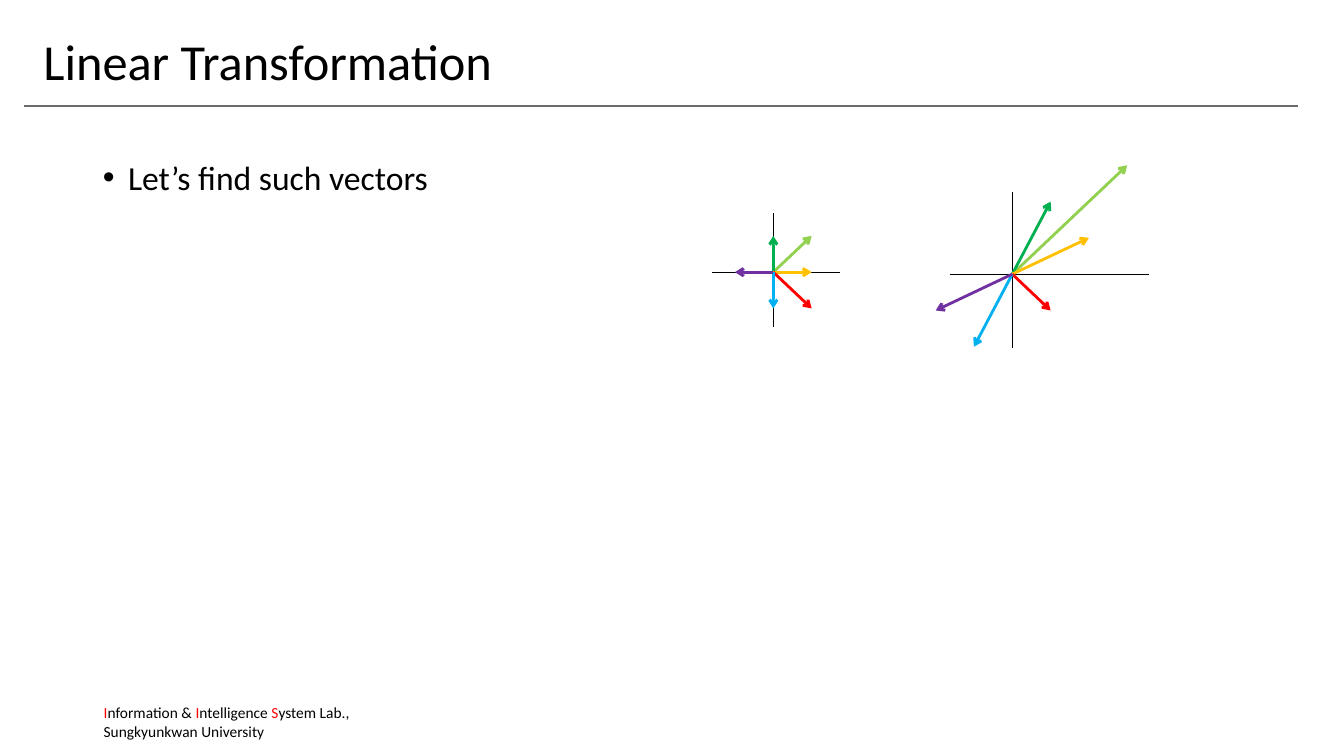
"""Build a slide showing vectors before and after a linear transformation."""
from lxml import etree
from pptx import Presentation
from pptx.dml.color import RGBColor
from pptx.enum.shapes import MSO_CONNECTOR
from pptx.enum.text import MSO_ANCHOR, MSO_AUTO_SIZE, PP_ALIGN
from pptx.oxml.ns import qn
from pptx.util import Pt

PX = 9144
FONT = "Calibri"
STRAIGHT = MSO_CONNECTOR.STRAIGHT
MIDDLE = MSO_ANCHOR.MIDDLE
LEFT = PP_ALIGN.LEFT
NO_AUTOFIT = MSO_AUTO_SIZE.NONE

BLACK = RGBColor(0x00, 0x00, 0x00)
GREY = RGBColor(0x6B, 0x6B, 0x6B)
RED = RGBColor(0xFF, 0x00, 0x00)
ORANGE = RGBColor(0xFF, 0xC0, 0x00)
GREEN = RGBColor(0x00, 0xB0, 0x50)
LIME = RGBColor(0x92, 0xD0, 0x50)
BLUE = RGBColor(0x00, 0xB0, 0xF0)
PURPLE = RGBColor(0x70, 0x30, 0xA0)

UNIT_X, UNIT_Y = 38, 36
VECTORS = [
    (1, 1, LIME),
    (0, 1, GREEN),
    (1, 0, ORANGE),
    (1, -1, RED),
    (0, -1, BLUE),
    (-1, 0, PURPLE),
]
IDENTITY = ((1, 0), (0, 1))
TRANSFORMATION = ((2, 1), (1, 2))
LAB_LINES = [
    [("I", RED), ("nformation & ", BLACK), ("I", RED),
     ("ntelligence ", BLACK), ("S", RED), ("ystem Lab.,", BLACK)],
    [("Sungkyunkwan University", BLACK)],
]


def place(shape, left, top, width, height):
    """Move and size a shape in px."""
    shape.left, shape.top = left * PX, top * PX
    shape.width, shape.height = width * PX, height * PX


def add_run(paragraph, text, size, color):
    """Append one formatted run to a paragraph."""
    run = paragraph.add_run()
    run.text = text
    run.font.name = FONT
    run.font.size = Pt(size)
    run.font.color.rgb = color


def add_line(slide, start, end, color, width, arrow=False):
    """Draw a straight line, with an arrowhead at its end if asked."""
    points = [value * PX for value in (*start, *end)]
    connector = slide.shapes.add_connector(STRAIGHT, *points)
    connector.line.color.rgb = color
    connector.line.width = Pt(width)
    if arrow:
        line = connector.line._get_or_add_ln()
        etree.SubElement(line, qn("a:tailEnd"), type="arrow")
    etree.SubElement(connector._element.spPr, qn("a:effectLst"))


def fill_title(slide, text):
    """Format and fill the title placeholder."""
    title = slide.shapes.title
    place(title, 33, 23, 1300, 81)
    frame = title.text_frame
    frame.auto_size = NO_AUTOFIT
    frame.vertical_anchor = MIDDLE
    paragraph = frame.paragraphs[0]
    paragraph.alignment = LEFT
    paragraph.line_spacing = 0.9
    add_run(paragraph, text, 36, BLACK)


def fill_body(slide, text):
    """Format the body placeholder and fill it with one bullet."""
    body = slide.placeholders[1]
    place(body, 92, 155, 1150, 520)
    body.text_frame.auto_size = NO_AUTOFIT
    paragraph = body.text_frame.paragraphs[0]
    paragraph.line_spacing = 0.9
    paragraph.space_before = Pt(0)
    properties = paragraph._p.get_or_add_pPr()
    properties.set("marL", str(25 * PX))
    properties.set("indent", str(-25 * PX))
    etree.SubElement(properties, qn("a:buFont"), typeface="Arial")
    etree.SubElement(properties, qn("a:buChar"), char="•")
    add_run(paragraph, text, 24, BLACK)


def add_lab_name(slide):
    """Write the lab name at the foot of the slide."""
    box = slide.shapes.add_textbox(93 * PX, 693 * PX, 266 * PX, 47 * PX)
    frame = box.text_frame
    frame.word_wrap = True
    for index, line in enumerate(LAB_LINES):
        paragraph = frame.paragraphs[0] if index == 0 else frame.add_paragraph()
        for text, color in line:
            add_run(paragraph, text, 11, color)


def add_vector_plot(slide, origin, x_range, y_range, matrix):
    """Draw two axes and every vector multiplied by the matrix."""
    x, y = origin
    add_line(slide, (x, y_range[1]), (x, y_range[0]), BLACK, 0.75)
    add_line(slide, (x_range[0], y), (x_range[1], y), BLACK, 0.75)
    (a, b), (c, d) = matrix
    for u, v, color in VECTORS:
        tip = (x + UNIT_X * (a * u + b * v), y - UNIT_Y * (c * u + d * v))
        add_line(slide, origin, tip, color, 2, arrow=True)


def main():
    """Build and save the slide."""
    presentation = Presentation()
    presentation.slide_width = 1333 * PX
    presentation.slide_height = 750 * PX
    slide = presentation.slides.add_slide(presentation.slide_layouts[1])
    fill_title(slide, "Linear Transformation")
    fill_body(slide, "Let’s find such vectors")
    add_lab_name(slide)
    add_line(slide, (24, 105), (1287, 105), GREY, 1)
    add_vector_plot(slide, (767, 270), (706, 833), (211, 324), IDENTITY)
    add_vector_plot(slide, (1004, 272), (942, 1140), (190, 345), TRANSFORMATION)
    presentation.save("out.pptx")


if __name__ == "__main__":
    main()
